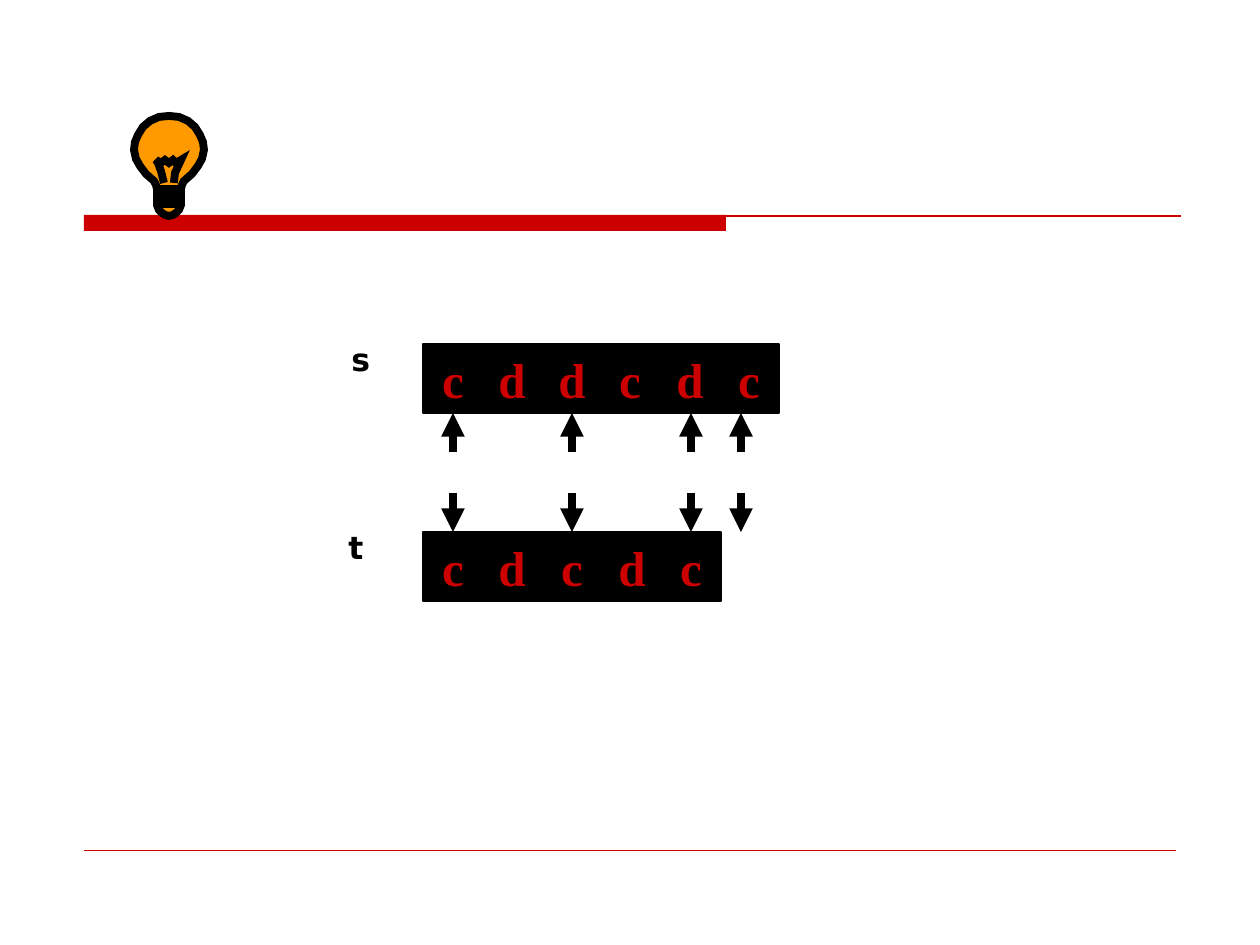
import pptx
import pptx.dml.color
import pptx.enum.shapes
import pptx.enum.text
import pptx.oxml.ns
import pptx.util
from lxml import etree

# Content: all lengths in px, 126 px to the inch
ROWS = [
    {"label": "s", "label_at": (339, 334), "top": 344,
     "cells": [("c", 423), ("d", 482), ("d", 542), ("c", 600), ("d", 660), ("c", 719)]},
    {"label": "t", "label_at": (336, 522), "top": 532,
     "cells": [("c", 423), ("d", 482), ("c", 542), ("d", 602), ("c", 661)]},
]
CELL_WIDTH, CELL_HEIGHT = 60, 69
ARROW_CENTRES = [453, 572, 691, 741]
ARROW_LENGTH = 39

BULB_CENTRE = 169
BULB_HALF = [(0, 216), (4, 215), (7, 213), (10, 210), (12, 205), (12, 189), (13, 185),
             (15, 181), (23, 174), (29, 166), (33, 159), (35, 150), (34, 142), (31, 135),
             (26, 127), (19, 121), (10, 117), (0, 116)]
FILAMENT = [(164, 183), (161, 171), (158, 163), (156, 160), (161, 163), (165, 160),
            (169, 163), (173, 160), (176, 163), (181, 160), (175, 173), (174, 183)]
SCREW_BASE = [(157, 189), (180, 189), (180, 194), (157, 194),
              (157, 199), (180, 199), (180, 204), (157, 204)]

COLOURS = {"red": "CC0000", "black": "000000", "orange": "FF9900"}
PX = 914400 // 126
DRAWING = pptx.oxml.ns.nsdecls("a").split('"')[1]
SHAPES = pptx.enum.shapes.MSO_SHAPE

presentation = pptx.Presentation()
presentation.slide_width = pptx.util.Inches(10)
presentation.slide_height = pptx.util.Inches(7.5)
slide = presentation.slides.add_slide(presentation.slide_layouts[6])


def rgb(name):
    return pptx.dml.color.RGBColor.from_string(COLOURS[name])


def px(*lengths):
    return [length * PX for length in lengths]


def add_line_child(shape, tag, **attributes):
    line = shape.line._get_or_add_ln()
    etree.SubElement(line, f"{{{DRAWING}}}{tag}", attributes)


def style_shape(shape, fill, line, width=0.75):
    shape.shadow.inherit = False
    if fill:
        shape.fill.solid()
        shape.fill.fore_color.rgb = rgb(fill)
    else:
        shape.fill.background()
    shape.line.color.rgb = rgb(line)
    shape.line.width = pptx.util.Pt(width)


def style_text(shape, text, size, font, colour):
    frame = shape.text_frame
    frame.text = text
    frame.word_wrap = False
    run_font = frame.paragraphs[0].runs[0].font
    run_font.name, run_font.size, run_font.bold = font, pptx.util.Pt(size), True
    run_font.color.rgb = rgb(colour)
    return frame


def add_line(start, end, colour, width):
    line = slide.shapes.add_connector(
        pptx.enum.shapes.MSO_CONNECTOR.STRAIGHT, *px(*start, *end))
    line.line.color.rgb = rgb(colour)
    line.line.width = pptx.util.Pt(width)
    etree.SubElement(line._element.spPr, f"{{{DRAWING}}}effectLst")
    return line


def add_outline(points, fill=None, close=False):
    builder = slide.shapes.build_freeform(*points[0], scale=PX)
    builder.add_line_segments(points[1:], close=close)
    shape = builder.convert_to_shape()
    style_shape(shape, fill, "black", 4.5)
    add_line_child(shape, "miter", lim="800000")


def add_cell(letter, left, top):
    cell = slide.shapes.add_shape(SHAPES.RECTANGLE, *px(left, top, CELL_WIDTH, CELL_HEIGHT))
    style_shape(cell, "black", "black")
    frame = style_text(cell, letter, 28, "Times New Roman", "red")
    frame.vertical_anchor = pptx.enum.text.MSO_ANCHOR.MIDDLE
    frame.paragraphs[0].alignment = pptx.enum.text.PP_ALIGN.CENTER
    return cell


def add_arrow(centre, start, end, cells, side):
    arrow = add_line((centre, start), (centre, end), "black", 4.5)
    add_line_child(arrow, "tailEnd", type="triangle")
    if centre in cells:
        arrow.end_connect(cells[centre], side)


# Header band and rules
band = slide.shapes.add_shape(SHAPES.RECTANGLE, *px(84, 215, 642, 16))
style_shape(band, "red", "red")
band.line.fill.background()
add_line((84, 216), (1181, 216), "red", 0.75)
add_line((84, 850), (1176, 850), "red", 0.25)

# Rows of letter cells, kept by centre so that arrows can join them
cells_by_row = [
    {left + CELL_WIDTH // 2: add_cell(letter, left, row["top"])
     for letter, left in row["cells"]}
    for row in ROWS
]

# Arrows from the gap to both rows
upper_edge = ROWS[0]["top"] + CELL_HEIGHT
lower_edge = ROWS[1]["top"]
for centre in ARROW_CENTRES:
    add_arrow(centre, lower_edge - ARROW_LENGTH, lower_edge, cells_by_row[1], 0)
    add_arrow(centre, upper_edge + ARROW_LENGTH, upper_edge, cells_by_row[0], 2)

# Light bulb: the left half mirrors the right
right_side = [(BULB_CENTRE + x, y) for x, y in BULB_HALF]
left_side = [(BULB_CENTRE - x, y) for x, y in BULB_HALF[-2:0:-1]]
add_outline(right_side + left_side, "orange", close=True)
add_outline(FILAMENT)
add_outline(SCREW_BASE)

# Row labels
for row in ROWS:
    label = slide.shapes.add_textbox(*px(*row["label_at"], 40, 50))
    frame = style_text(label, row["label"], 18, "DejaVu Sans", "black")
    frame.auto_size = pptx.enum.text.MSO_AUTO_SIZE.SHAPE_TO_FIT_TEXT

presentation.save("out.pptx")
